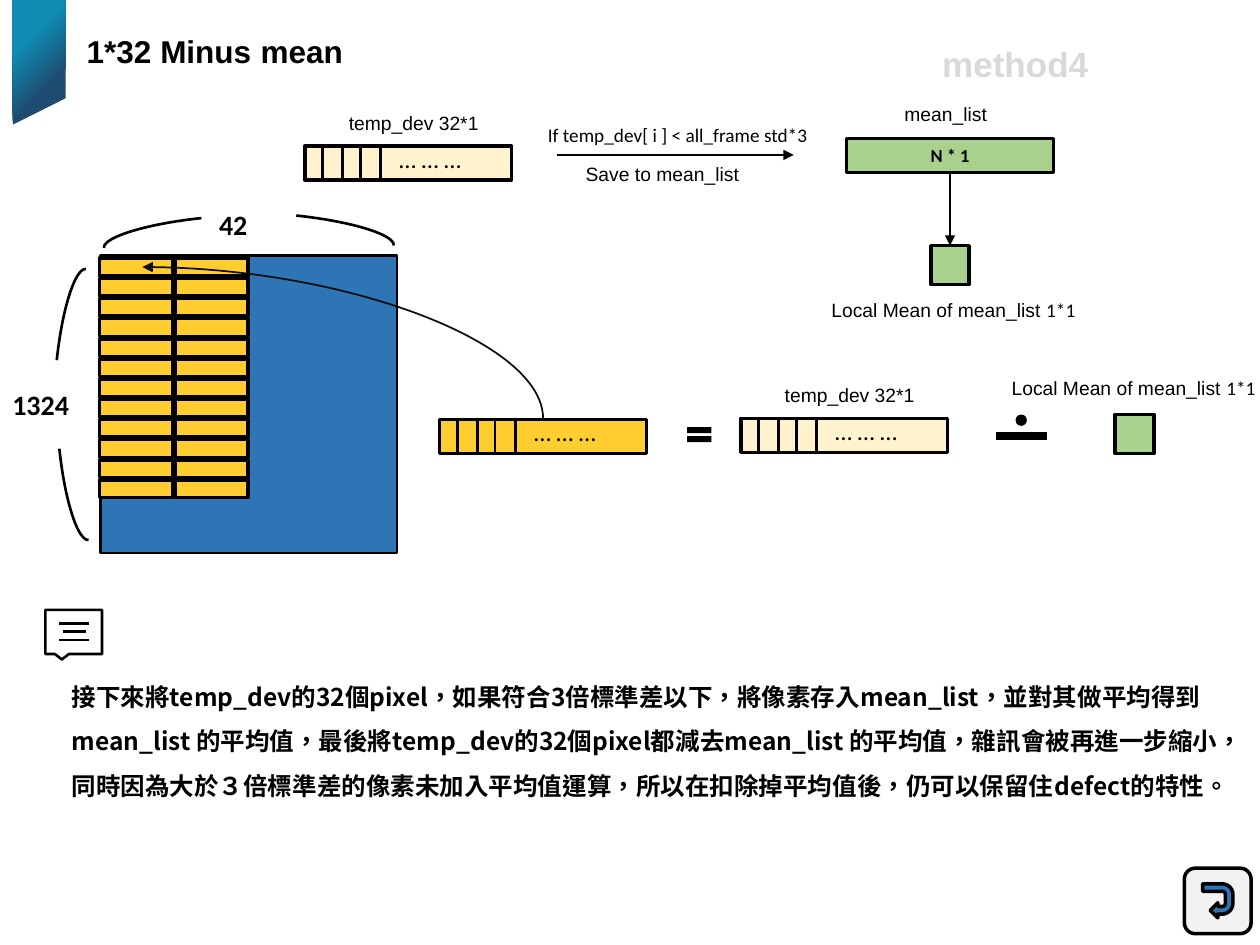
from lxml import etree
from pptx import Presentation
from pptx.dml.color import RGBColor
from pptx.enum.shapes import MSO_CONNECTOR, MSO_SHAPE
from pptx.enum.text import MSO_ANCHOR, MSO_AUTO_SIZE, PP_ALIGN
from pptx.oxml.ns import qn
from pptx.util import Inches, Pt

RECT, ARC = MSO_SHAPE.RECTANGLE, MSO_SHAPE.ARC
STRAIGHT, CURVE = MSO_CONNECTOR.STRAIGHT, MSO_CONNECTOR.CURVE
CJK_FONT = "Noto Sans CJK SC"
COLORS = {
    "black": "000000", "curve": "0D0D0D", "teal": "0F8AB1", "navy": "1E4B70",
    "blue": "2E75B6", "gold": "FFCD2F", "cream": "FFF2CC", "green": "A9D18E",
    "button": "F2F2F2", "tag": "D9D9D9",
}
STRIP_W, STRIP_H = 1.64, 0.27
BODY = ("接下來將temp_dev的32個pixel，如果符合3倍標準差以下，將像素存入mean_list，"
        "並對其做平均得到mean_list 的平均值，最後將temp_dev的32個pixel都減去mean_list 的平均值，"
        "雜訊會被再進一步縮小，同時因為大於３倍標準差的像素未加入平均值運算，"
        "所以在扣除掉平均值後，仍可以保留住defect的特性。")


def rgb(name):
    return RGBColor.from_string(COLORS[name])


def style_font(r, size, font="Arial", bold=False, color="black"):
    r.font.size, r.font.name, r.font.bold = Pt(size), font, bold
    r.font.color.rgb = rgb(color)
    rPr = r.font._element
    etree.SubElement(rPr, qn("a:ea")).set("typeface", font)
    if font == CJK_FONT:
        rPr.set("lang", "zh-TW")


def add_text(slide, box, runs, spacing=None, wrap=False):
    """Runs are (text, size, font, bold, color) tuples; the tail may be omitted."""
    tf = slide.shapes.add_textbox(*map(Inches, box)).text_frame
    tf.word_wrap = wrap
    tf.auto_size = MSO_AUTO_SIZE.SHAPE_TO_FIT_TEXT
    p = tf.paragraphs[0]
    if spacing:
        p.line_spacing = spacing
    for text, *look in runs:
        r = p.add_run()
        r.text = text
        style_font(r, *look)


def add_box(slide, kind, box, fill=None, width=2.0, rotation=0, flip=False):
    sp = slide.shapes.add_shape(kind, *map(Inches, box))
    sp.shadow.inherit = False
    sp.rotation = rotation
    if fill:
        sp.fill.solid()
        sp.fill.fore_color.rgb = rgb(fill)
    else:
        sp.fill.background()
    if width:
        sp.line.color.rgb = rgb("black")
        sp.line.width = Pt(width)
    else:
        sp.line.fill.background()
    if flip:
        sp._element.spPr.find(qn("a:xfrm")).set("flipH", "1")
    return sp


def add_line(slide, start, end, width=1.5, arrow=False, kind=STRAIGHT, color="black"):
    cxn = slide.shapes.add_connector(kind, *map(Inches, (*start, *end)))
    cxn.line.color.rgb = rgb(color)
    cxn.line.width = Pt(width)
    if arrow:
        tail = etree.SubElement(cxn.line._get_or_add_ln(), qn("a:tailEnd"))
        tail.set("type", "triangle")
    etree.SubElement(cxn._element.spPr, qn("a:effectLst"))
    return cxn


def add_strip(slide, x, y, fill, label=None):
    """A row of pixels: four cells, then dots for the rest."""
    add_box(slide, RECT, (x, y, STRIP_W, STRIP_H), fill)
    for dx in (0.14, 0.3, 0.44, 0.6):
        add_line(slide, (x + dx, y), (x + dx, y + STRIP_H))
    add_text(slide, (x + 0.65, y - 0.07, 0.9, 0.34), [("… … …", 14, "Calibri")])
    if label:
        add_text(slide, (x + 0.25, y - 0.33, 1.23, 0.29), [(label, 11)])


def add_local_mean_label(slide, x, y):
    add_text(slide, (x, y, 2.18, 0.29),
             [("Local Mean of mean_list ", 11), ("1*1", 11, "Calibri")])


def add_ribbon(slide):
    fb = slide.shapes.build_freeform(Inches(0.1), 0)
    fb.add_line_segments([(Inches(x), Inches(y))
                          for x, y in ((0.52, 0), (0.52, 0.78), (0.1, 0.99))])
    sp = fb.convert_to_shape()
    sp.shadow.inherit = False
    sp.line.fill.background()
    sp.fill.gradient()
    for stop, pos, name in zip(sp.fill.gradient_stops, (0.32, 0.7), ("teal", "navy")):
        stop.position = pos
        stop.color.rgb = rgb(name)
    grad = sp._element.spPr.find(qn("a:gradFill"))
    grad.remove(grad.find(qn("a:lin")))
    path = etree.SubElement(grad, qn("a:path"))
    path.set("path", "circle")
    focus = etree.SubElement(path, qn("a:fillToRect"))
    focus.set("r", "100000")
    focus.set("b", "100000")


def add_back_button(slide):
    add_box(slide, MSO_SHAPE.ROUNDED_RECTANGLE, (9.4, 6.89, 0.53, 0.52), "button")
    arrow = add_box(slide, MSO_SHAPE.U_TURN_ARROW, (9.53, 7.03, 0.27, 0.24), "blue",
                    rotation=90)
    for i, value in enumerate((0.25, 0.25, 0.25, 0.35, 0.75)):
        arrow.adjustments[i] = value


def add_mean_flow(slide):
    add_strip(slide, 2.42, 1.16, "cream", "temp_dev 32*1")
    add_line(slide, (4.42, 1.23), (6.3, 1.23), 1, arrow=True)
    add_text(slide, (4.25, 0.93, 2.34, 0.29),
             [("If temp_dev[ i ] < all_frame std*3", 11, "Calibri")])
    add_text(slide, (4.55, 1.24, 1.43, 0.29), [("Save to mean_list", 11)])
    add_text(slide, (7.08, 0.76, 0.86, 0.29), [("mean_list", 11)])
    mean_list = add_box(slide, RECT, (6.72, 1.1, STRIP_W, STRIP_H), "green")
    tf = mean_list.text_frame
    tf.text = "N * 1"
    tf.vertical_anchor = MSO_ANCHOR.MIDDLE
    tf.paragraphs[0].alignment = PP_ALIGN.CENTER
    style_font(tf.paragraphs[0].runs[0], 10.5, "Calibri", True)
    local_mean = add_box(slide, RECT, (7.39, 1.95, 0.3, 0.31), "green")
    cxn = add_line(slide, (7.54, 1.37), (7.54, 1.95), 1, arrow=True)
    cxn.begin_connect(mean_list, 2)
    cxn.end_connect(local_mean, 0)
    add_local_mean_label(slide, 6.5, 2.32)


def add_equation(slide):
    add_strip(slide, 3.49, 3.33, "gold")
    add_box(slide, MSO_SHAPE.MATH_EQUAL, (5.42, 3.35, 0.26, 0.2), "black", 0)
    add_strip(slide, 5.88, 3.32, "cream", "temp_dev 32*1")
    add_box(slide, MSO_SHAPE.MATH_MINUS, (7.83, 3.34, 0.55, 0.24), "black", 0.25)
    add_box(slide, MSO_SHAPE.OVAL, (8.06, 3.29, 0.09, 0.09), "black", 0)
    add_box(slide, RECT, (8.85, 3.29, 0.31, 0.31), "green")
    add_local_mean_label(slide, 7.93, 2.94)


def add_frame(slide):
    """The full frame with its size brackets and the strips laid in it."""
    add_box(slide, RECT, (0.8, 2.03, 2.35, 2.36), "blue", 1.5)
    for x, y, w, rotation, flip in ((0.82, 1.73, 1.59, 354, True),
                                    (1.54, 1.71, 1.59, 6, False),
                                    (-0.12, 3.39, 1.49, 264, True),
                                    (-0.14, 2.72, 1.49, 276, False)):
        add_box(slide, ARC, (x, y, w, 0.31), None, 1.5, rotation, flip)
    add_text(slide, (1.64, 1.6, 0.43, 0.37), [("42", 16, "Calibri", True)])
    add_text(slide, (0, 3.03, 0.86, 0.49), [("1324", 16, "Calibri", True)])
    for x in (0.79, 1.39):
        for row in range(12):
            add_box(slide, RECT, (x, 2.05 + 0.16 * row, 0.58, 0.14), "gold")


def add_result_curve(slide):
    """A quarter curve from the result strip back to the first strip of the frame."""
    cxn = add_line(slide, (2.12, 1.13), (3.32, 4.31), 1, True, CURVE, "curve")
    spPr = cxn._element.spPr
    spPr.find(qn("a:prstGeom")).set("prst", "curvedConnector2")
    xfrm = spPr.find(qn("a:xfrm"))
    xfrm.set("rot", str(270 * 60000))
    xfrm.set("flipV", "1")


def add_note_icon(slide):
    add_box(slide, MSO_SHAPE.RECTANGULAR_CALLOUT, (0.36, 4.84, 0.45, 0.35), None, 1.5)
    for x1, x2, y in ((0.47, 0.71, 4.95), (0.5, 0.68, 5.01), (0.47, 0.71, 5.08)):
        add_line(slide, (x1, y), (x2, y))


def main():
    prs = Presentation()
    prs.slide_width, prs.slide_height = Inches(10), Inches(7.5)
    slide = prs.slides.add_slide(prs.slide_layouts[6])
    add_ribbon(slide)
    add_text(slide, (0.59, 0, 2.27, 0.63),
             [("1*32 Minus", 18, "Arial", True), (" ", 24, "Calibri", True),
              ("mean", 18, "Arial", True)], spacing=1.3)
    add_back_button(slide)
    add_mean_flow(slide)
    add_equation(slide)
    add_frame(slide)
    add_result_curve(slide)
    add_text(slide, (0.47, 5.25, 9.32, 1.16), [(BODY, 14, CJK_FONT, True)],
             spacing=1.5, wrap=True)
    add_note_icon(slide)
    add_text(slide, (7.38, 0.29, 1.37, 0.44), [("method4", 20, "Arial", True, "tag")])
    prs.save("out.pptx")


if __name__ == "__main__":
    main()
